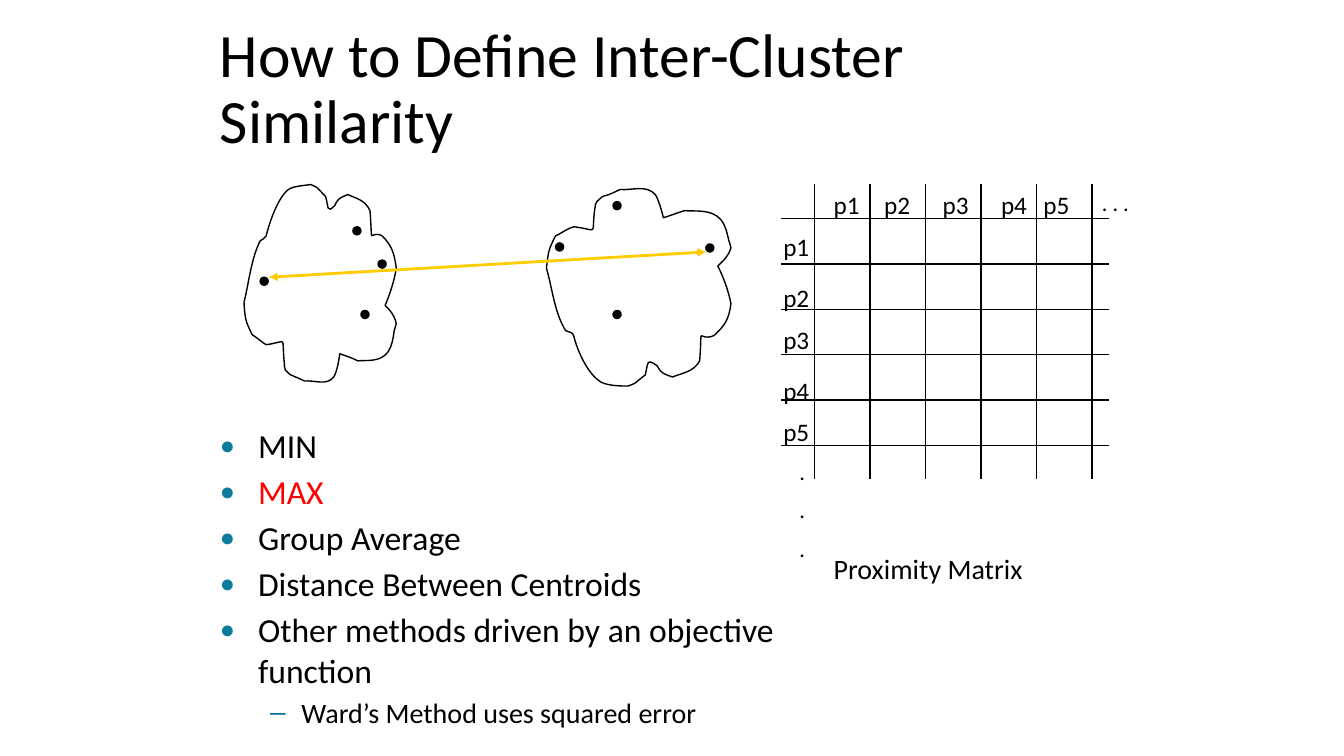
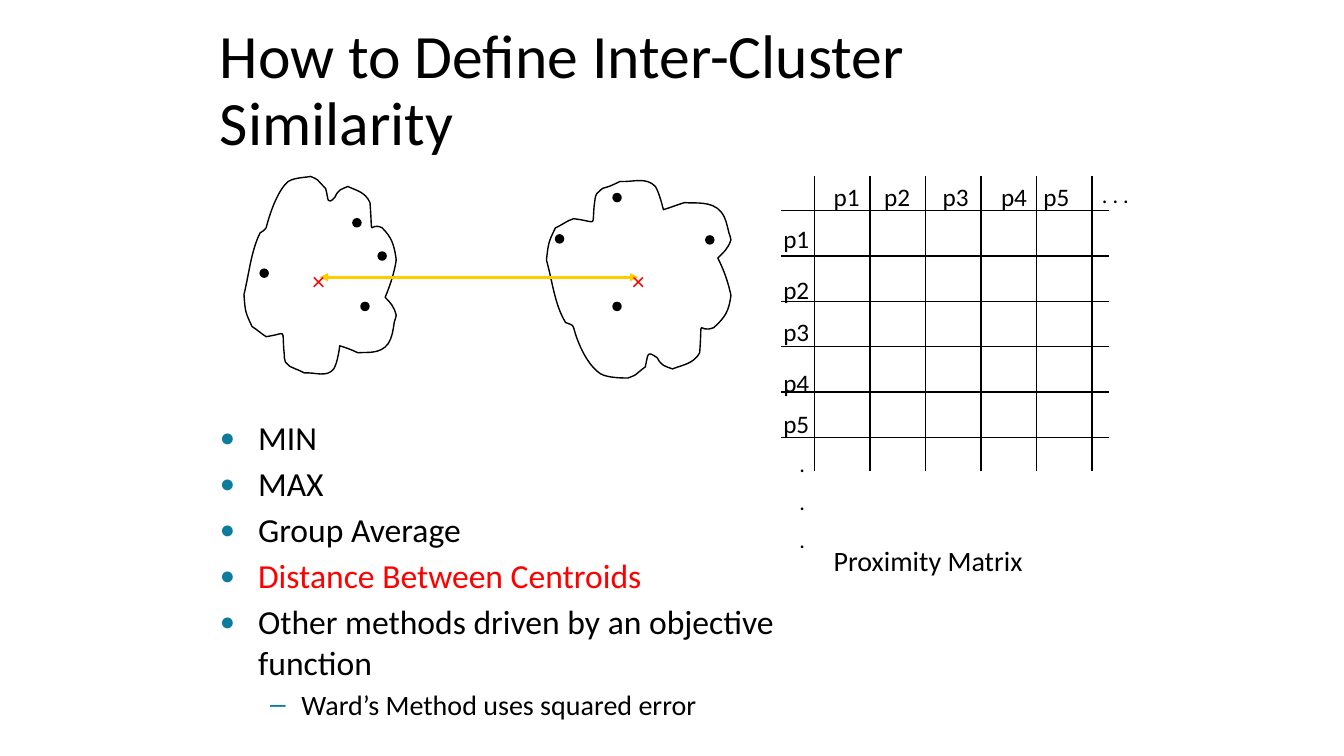
from lxml import etree
from pptx import Presentation
from pptx.dml.color import RGBColor
from pptx.enum.shapes import MSO_CONNECTOR, MSO_SHAPE
from pptx.enum.text import MSO_ANCHOR, MSO_AUTO_SIZE, PP_ALIGN
from pptx.oxml.ns import qn
from pptx.util import Inches, Pt

STRAIGHT = MSO_CONNECTOR.STRAIGHT
OVAL = MSO_SHAPE.OVAL
MIDDLE, TOP = MSO_ANCHOR.MIDDLE, MSO_ANCHOR.TOP
NO_FIT = MSO_AUTO_SIZE.NONE
LEFT = PP_ALIGN.LEFT

# Shared style
FONT = "Calibri"
BULLET_FONT = "Arial"
BLACK = RGBColor(0x00, 0x00, 0x00)
RED = RGBColor(0xFF, 0x00, 0x00)
YELLOW = RGBColor(0xFF, 0xCC, 0x00)
TEAL = RGBColor(0x0C, 0x7B, 0x9C)

# Shared content
TITLE = "How to Define Inter-Cluster Similarity"
METHODS = ["MIN", "MAX", "Group Average", "Distance Between Centroids",
           "Other methods driven by an objective function"]
METHOD_DETAIL = "Ward’s Method uses squared error"
POINT_LABELS = ["p1", "p2", "p3", "p4", "p5"]

# Proximity matrix: first grid line, gap between lines, label places
COLUMN_START, COLUMN_GAP = 8.08, 0.55
ROW_START, ROW_GAP = 2.17, 0.45
GRID_LINES = 6
GRID_LEFT, GRID_RIGHT = 7.75, 11
GRID_TOP, GRID_BOTTOM = 1.83, 4.75
COLUMN_LABEL_LEFTS = [8.17, 8.67, 9.25, 9.83, 10.25]
ROW_LABEL_TOPS = [2.25, 2.75, 3.17, 3.67, 4.08]

# Cluster outlines: a start point, then cubic curves (two controls and an end)
LEFT_START = (2.58, 2.39)
LEFT_CURVES = [
    (2.49, 2.57, 2.47, 2.8, 2.42, 3), (2.43, 3.18, 2.44, 3.19, 2.5, 3.32),
    (2.55, 3.35, 2.59, 3.39, 2.64, 3.42), (2.86, 3.39, 2.79, 3.32, 2.82, 3.6),
    (2.82, 3.62, 2.82, 3.65, 2.83, 3.67), (2.9, 3.74, 2.85, 3.7, 2.93, 3.74),
    (2.96, 3.75, 3.02, 3.78, 3.02, 3.78), (3.12, 3.77, 3.24, 3.83, 3.31, 3.74),
    (3.35, 3.68, 3.37, 3.51, 3.37, 3.51), (3.43, 3.53, 3.49, 3.55, 3.55, 3.58),
    (3.63, 3.57, 3.77, 3.6, 3.85, 3.49), (3.89, 3.43, 3.9, 3.35, 3.91, 3.28),
    (3.92, 3.25, 3.93, 3.21, 3.93, 3.21), (3.91, 3.12, 3.87, 3.08, 3.82, 3.03),
    (3.87, 2.91, 3.91, 2.79, 3.93, 2.66), (3.91, 2.5, 3.88, 2.43, 3.79, 2.34),
    (3.65, 2.27, 3.7, 2.49, 3.67, 2.09), (3.62, 1.98, 3.53, 1.97, 3.45, 1.93),
    (3.39, 1.96, 3.36, 1.95, 3.32, 2.04), (3.24, 2.12, 3.26, 2.06, 3.23, 1.95),
    (3.12, 1.84, 3.17, 1.87, 3.08, 1.83), (3.05, 1.84, 2.92, 1.84, 2.86, 1.88),
    (2.76, 1.96, 2.68, 2.18, 2.64, 2.34), (2.63, 2.37, 2.6, 2.37, 2.58, 2.39),
]
RIGHT_START = (5.61, 3.28)
RIGHT_CURVES = [
    (5.5, 3.1, 5.48, 2.87, 5.42, 2.66), (5.44, 2.49, 5.44, 2.48, 5.51, 2.34),
    (5.58, 2.31, 5.62, 2.27, 5.69, 2.25), (5.95, 2.28, 5.86, 2.35, 5.9, 2.07),
    (5.9, 2.04, 5.91, 2.02, 5.92, 2), (6, 1.93, 5.95, 1.96, 6.04, 1.93),
    (6.07, 1.92, 6.15, 1.88, 6.15, 1.88), (6.27, 1.89, 6.41, 1.83, 6.5, 1.93),
    (6.54, 1.99, 6.58, 2.16, 6.58, 2.16), (6.65, 2.14, 6.72, 2.11, 6.79, 2.09),
    (6.89, 2.1, 7.06, 2.07, 7.15, 2.18), (7.2, 2.24, 7.21, 2.31, 7.23, 2.39),
    (7.24, 2.41, 7.25, 2.46, 7.25, 2.46), (7.22, 2.55, 7.18, 2.58, 7.12, 2.64),
    (7.18, 2.76, 7.22, 2.87, 7.25, 3.01), (7.23, 3.17, 7.19, 3.23, 7.08, 3.33),
    (6.91, 3.4, 6.97, 3.18, 6.94, 3.58), (6.88, 3.69, 6.77, 3.7, 6.67, 3.74),
    (6.59, 3.71, 6.56, 3.71, 6.52, 3.63), (6.41, 3.55, 6.43, 3.6, 6.4, 3.72),
    (6.27, 3.82, 6.33, 3.79, 6.23, 3.83), (6.18, 3.83, 6.03, 3.83, 5.96, 3.79),
    (5.83, 3.71, 5.73, 3.49, 5.69, 3.33), (5.68, 3.29, 5.64, 3.3, 5.61, 3.28),
]
DOT_SIZE = 0.08
CLUSTER_DOTS = [(3.58, 3.08), (3.5, 2.25), (2.58, 2.75), (3.75, 2.58),
                (7, 2.42), (5.51, 2.41), (6.08, 3.08), (6.08, 2)]


def write(paragraph, text, size=18, color=BLACK, before=0, after=0, spacing=1.0):
    """Put formatted text into a paragraph."""
    paragraph.alignment = LEFT
    paragraph.space_before = Pt(before)
    paragraph.space_after = Pt(after)
    paragraph.line_spacing = spacing
    run = paragraph.add_run()
    run.text = text
    run.font.name = FONT
    run.font.size = Pt(size)
    run.font.color.rgb = color


def place(shape, left, top, width, height):
    shape.left, shape.top = Inches(left), Inches(top)
    shape.width, shape.height = Inches(width), Inches(height)


def paragraphs(frame, count):
    """Give a frame the wanted number of paragraphs."""
    return [frame.paragraphs[0]] + [frame.add_paragraph() for _ in range(count - 1)]


def add_label(shapes, lines, left, top, width, height, gap=0, **style):
    box = shapes.add_textbox(Inches(left), Inches(top), Inches(width), Inches(height))
    frame = box.text_frame
    frame.word_wrap = True
    for index, paragraph in enumerate(paragraphs(frame, len(lines))):
        write(paragraph, lines[index], before=gap if index else 0, **style)


def add_line(shapes, start, end, color=BLACK, width=1, arrows=False):
    ends = [Inches(value) for value in (*start, *end)]
    connector = shapes.add_connector(STRAIGHT, *ends)
    connector.line.color.rgb = color
    connector.line.width = Pt(width)
    if arrows:
        outline = connector.line._get_or_add_ln()
        for tag in ("a:headEnd", "a:tailEnd"):
            etree.SubElement(outline, qn(tag), type="triangle")
    etree.SubElement(connector._element.spPr, qn("a:effectLst"))


def set_bullet(paragraph, char, margin, hanging, percent=100):
    properties = paragraph._p.get_or_add_pPr()
    properties.set("marL", str(Inches(margin)))
    properties.set("indent", str(-Inches(hanging)))
    color = etree.SubElement(properties, qn("a:buClr"))
    etree.SubElement(color, qn("a:srgbClr"), val=str(TEAL))
    etree.SubElement(properties, qn("a:buSzPct"), val=str(percent * 1000))
    etree.SubElement(properties, qn("a:buFont"), typeface=BULLET_FONT)
    etree.SubElement(properties, qn("a:buChar"), char=char)


def bend_segments(outline, curves, shift):
    """Turn each straight segment of a freeform into its cubic curve."""
    segments = list(outline._element.iter(qn("a:lnTo")))
    for segment, (x1, y1, x2, y2, _, _) in zip(segments, curves):
        segment.tag = qn("a:cubicBezTo")
        for index, (x, y) in enumerate([(x1, y1), (x2, y2)]):
            control = etree.Element(qn("a:pt"), x=str(Inches(x) - outline.left),
                                    y=str(Inches(y + shift) - outline.top))
            segment.insert(index, control)


def add_outline(shapes, start, curves, shift):
    builder = shapes.build_freeform(Inches(start[0]), Inches(start[1] + shift))
    builder.add_line_segments([(Inches(x), Inches(y + shift))
                               for *_, x, y in curves])
    outline = builder.convert_to_shape()
    bend_segments(outline, curves, shift)
    outline.shadow.inherit = False
    outline.fill.background()
    outline.line.color.rgb = BLACK
    outline.line.width = Pt(1)


def add_dot(shapes, left, top):
    dot = shapes.add_shape(OVAL, Inches(left), Inches(top),
                           Inches(DOT_SIZE), Inches(DOT_SIZE))
    dot.shadow.inherit = False
    dot.fill.solid()
    dot.fill.fore_color.rgb = BLACK
    dot.line.color.rgb = BLACK
    dot.line.width = Pt(1)


def add_clusters(shapes, shift):
    add_outline(shapes, LEFT_START, LEFT_CURVES, shift)
    add_outline(shapes, RIGHT_START, RIGHT_CURVES, shift)
    for left, top in CLUSTER_DOTS:
        add_dot(shapes, left, top + shift)


def add_matrix(slide, shift):
    shapes = slide.shapes.add_group_shape().shapes
    top, bottom = GRID_TOP + shift, GRID_BOTTOM + shift
    # Grid
    for index in range(GRID_LINES):
        x = COLUMN_START + index * COLUMN_GAP
        y = ROW_START + index * ROW_GAP + shift
        add_line(shapes, (x, top), (x, bottom))
        add_line(shapes, (GRID_LEFT, y), (GRID_RIGHT, y))
    # Row and column labels
    for label, left, row_top in zip(POINT_LABELS, COLUMN_LABEL_LEFTS, ROW_LABEL_TOPS):
        add_label(shapes, [label], left, top, 0.58, 0.4)
        add_label(shapes, [label], 7.67, row_top + shift, 0.58, 0.4)
    # Continuation dots and caption
    add_label(shapes, [". . ."], 10.83, top, 0.58, 0.37, size=16)
    add_label(shapes, ["."] * 3, 7.83, 4.5 + shift, 0.58, 1.17, gap=8, size=16)
    add_label(slide.shapes, ["Proximity Matrix"], 8.17, 5.42 + shift, 2.75, 0.43, size=20)


def fill_title(slide, top, height):
    title = slide.shapes.title
    place(title, 2.08, top, 9.06, height)
    frame = title.text_frame
    frame.auto_size = NO_FIT
    frame.word_wrap = True
    frame.vertical_anchor = MIDDLE
    write(frame.paragraphs[0], TITLE, size=44, spacing=0.9)


def fill_methods(slide, highlight, shift):
    body = slide.placeholders[1]
    place(body, 2.08, 4.17 + shift, 6.33, 3.42)
    frame = body.text_frame
    frame.auto_size = NO_FIT
    frame.word_wrap = True
    frame.vertical_anchor = TOP
    *items, detail = paragraphs(frame, len(METHODS) + 1)
    for index, (item, method) in enumerate(zip(items, METHODS)):
        set_bullet(item, "●", 0.38, 0.38, percent=75)
        write(item, method, size=24, color=RED if method == highlight else BLACK,
              before=2 if index else 0, after=2)
    detail.level = 1
    set_bullet(detail, "–", 0.81, 0.31)
    write(detail, METHOD_DETAIL, size=20, before=2, after=2)


def add_similarity_slide(deck, highlight, title_top, title_height, arrow, shift=0):
    slide = deck.slides.add_slide(deck.slide_layouts[1])
    fill_title(slide, title_top, title_height)
    fill_methods(slide, highlight, shift)
    add_matrix(slide, shift)
    add_clusters(slide.shapes, shift)
    add_line(slide.shapes, *arrow, color=YELLOW, width=2, arrows=True)
    return slide


def main():
    deck = Presentation()
    deck.slide_width, deck.slide_height = Inches(13.33), Inches(7.5)

    # Farthest pair of points
    add_similarity_slide(deck, "MAX", 0.17, 1.46, ((2.67, 2.75), (7, 2.5)))

    # Distance between the centroids, each marked with a cross
    centroids = add_similarity_slide(deck, "Distance Between Centroids", 0.25, 1.33,
                                     ((3.17, 2.75), (6.33, 2.75)), shift=-0.08)
    for left in (3, 6.17):
        add_label(centroids.shapes, ["×"], left, 2.58, 0.25, 0.4, color=RED)

    deck.save("out.pptx")


if __name__ == "__main__":
    main()
